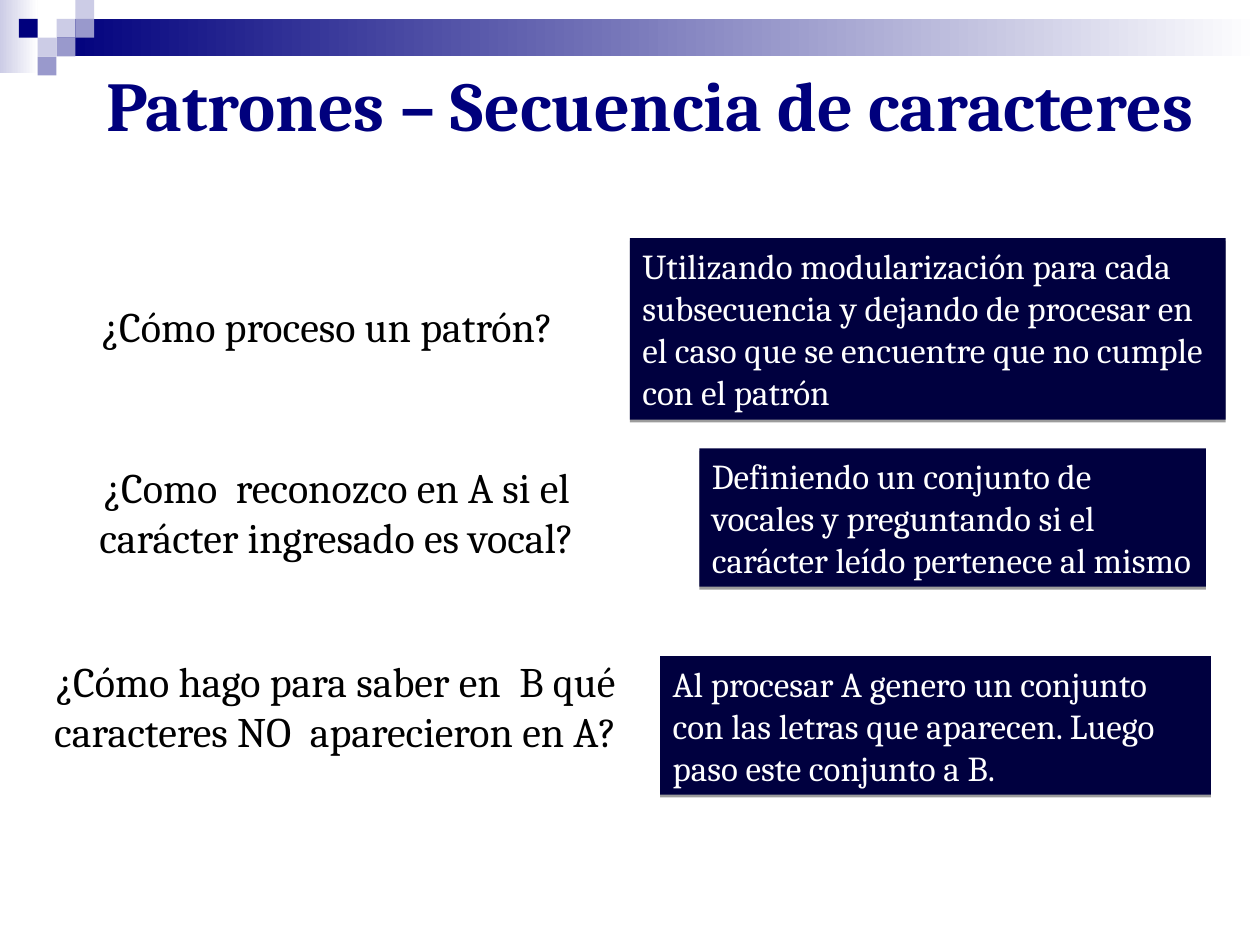
from lxml.etree import SubElement
from pptx import Presentation
from pptx.dml.color import RGBColor
from pptx.enum.shapes import MSO_SHAPE
from pptx.enum.text import MSO_ANCHOR, PP_ALIGN
from pptx.oxml.ns import qn
from pptx.util import Cm, Pt

COLORS = {
    "navy": "00007D",
    "midnight": "00003F",
    "lavender": "CCCCE6",
    "violet": "9999CC",
    "white": "FFFFFF",
    "black": "000000",
}
FONT = "Cambria"
TILE = 0.38
TILES = [
    (3, 1, "lavender"),
    (4, 0, "lavender"),
    (4, 1, "violet"),
    (2, 2, "lavender"),
    (1, 1, "navy"),
    (3, 2, "violet"),
    (2, 3, "violet"),
]
TITLE = "Patrones – Secuencia de caracteres"
EXCHANGES = [
    ("¿Cómo proceso un patrón?", (0.69, 5.94, 11.81, 1.27),
     "Utilizando modularización para cada subsecuencia y dejando de procesar "
     "en el caso que se encuentre que no cumple con el patrón",
     (12.7, 4.8, 12.01, 3.66)),
    ("¿Como  reconozco en A si el carácter ingresado es vocal?",
     (0.69, 9.17, 12.19, 2.29),
     "Definiendo un conjunto de vocales y preguntando si el carácter leído "
     "pertenece al mismo",
     (14.1, 9.04, 10.21, 2.79)),
    ("¿Cómo hago para saber en  B qué caracteres NO  aparecieron en A?",
     (0.41, 13.08, 12.7, 2.29),
     "Al procesar A genero un conjunto con las letras que aparecen. Luego "
     "paso este conjunto a B.",
     (13.31, 13.23, 11.1, 2.79)),
]


def rgb(name):
    """Return the named palette colour."""
    return RGBColor.from_string(COLORS[name])


def add_block(slide, box, start, end=None):
    """Add a borderless rectangle, fading to the end colour if there is one."""
    block = slide.shapes.add_shape(MSO_SHAPE.RECTANGLE, *map(Cm, box))
    block.shadow.inherit = False
    block.line.fill.background()
    if end is None:
        block.fill.solid()
        block.fill.fore_color.rgb = rgb(start)
    else:
        block.fill.gradient()
        block.fill.gradient_angle = 0
        for stop, position, name in zip(block.fill.gradient_stops, (0, 1), (start, end)):
            stop.position = position
            stop.color.rgb = rgb(name)
    return block


def write(frame, wording, size, color, align, anchor=MSO_ANCHOR.TOP, bold=False):
    """Fill a text frame with one formatted paragraph."""
    frame.text = wording
    frame.word_wrap = True
    frame.vertical_anchor = anchor
    paragraph = frame.paragraphs[0]
    paragraph.alignment = align
    font = paragraph.runs[0].font
    font.name, font.size, font.bold = FONT, Pt(size), bold
    font.color.rgb = rgb(color)


def add_shadow(block):
    """Give a block a thin shadow along its lower edge."""
    effects = block._element.spPr.find(qn("a:effectLst"))
    shadow = SubElement(effects, qn("a:outerShdw"), blurRad="0", dist=str(Pt(1.6)),
                        dir="5400000", rotWithShape="0")
    shade = SubElement(shadow, qn("a:srgbClr"), val=COLORS["black"])
    SubElement(shade, qn("a:alpha"), val="38000")


def add_header(slide, box):
    """Draw the fading bars and the mosaic of tiles at the top."""
    left, top, width, height = box
    band_left = 3 * TILE
    add_block(slide, (left, top, 2 * TILE, height), "lavender", "white")
    add_block(slide, (left + band_left, top + TILE, width - band_left, 2 * TILE),
              "navy", "white")
    for column, row, color in TILES:
        add_block(slide, (left + column * TILE, top + row * TILE, TILE, TILE), color)


def add_title(slide, box):
    """Write the slide title, aligned right."""
    title = slide.shapes.add_textbox(*map(Cm, box))
    write(title.text_frame, TITLE, 40, "navy", PP_ALIGN.RIGHT, MSO_ANCHOR.MIDDLE, True)


def add_question(slide, box, wording):
    """Write one centred question."""
    question = slide.shapes.add_textbox(*map(Cm, box))
    write(question.text_frame, wording, 24, "black", PP_ALIGN.CENTER)


def add_answer(slide, box, wording):
    """Add one answer on a dark panel."""
    answer = add_block(slide, box, "midnight")
    add_shadow(answer)
    write(answer.text_frame, wording, 20, "white", PP_ALIGN.LEFT)


def main():
    """Build and save the slide."""
    deck = Presentation()
    deck.slide_width, deck.slide_height = Cm(25.4), Cm(19.05)
    slide = deck.slides.add_slide(deck.slide_layouts[6])
    add_header(slide, (0, 0, 25.4, 1.47))
    for question, question_box, answer, answer_box in EXCHANGES:
        add_question(slide, question_box, question)
        add_answer(slide, answer_box, answer)
    add_title(slide, (0.51, 0.79, 23.8, 2.59))
    deck.save("out.pptx")


if __name__ == "__main__":
    main()
